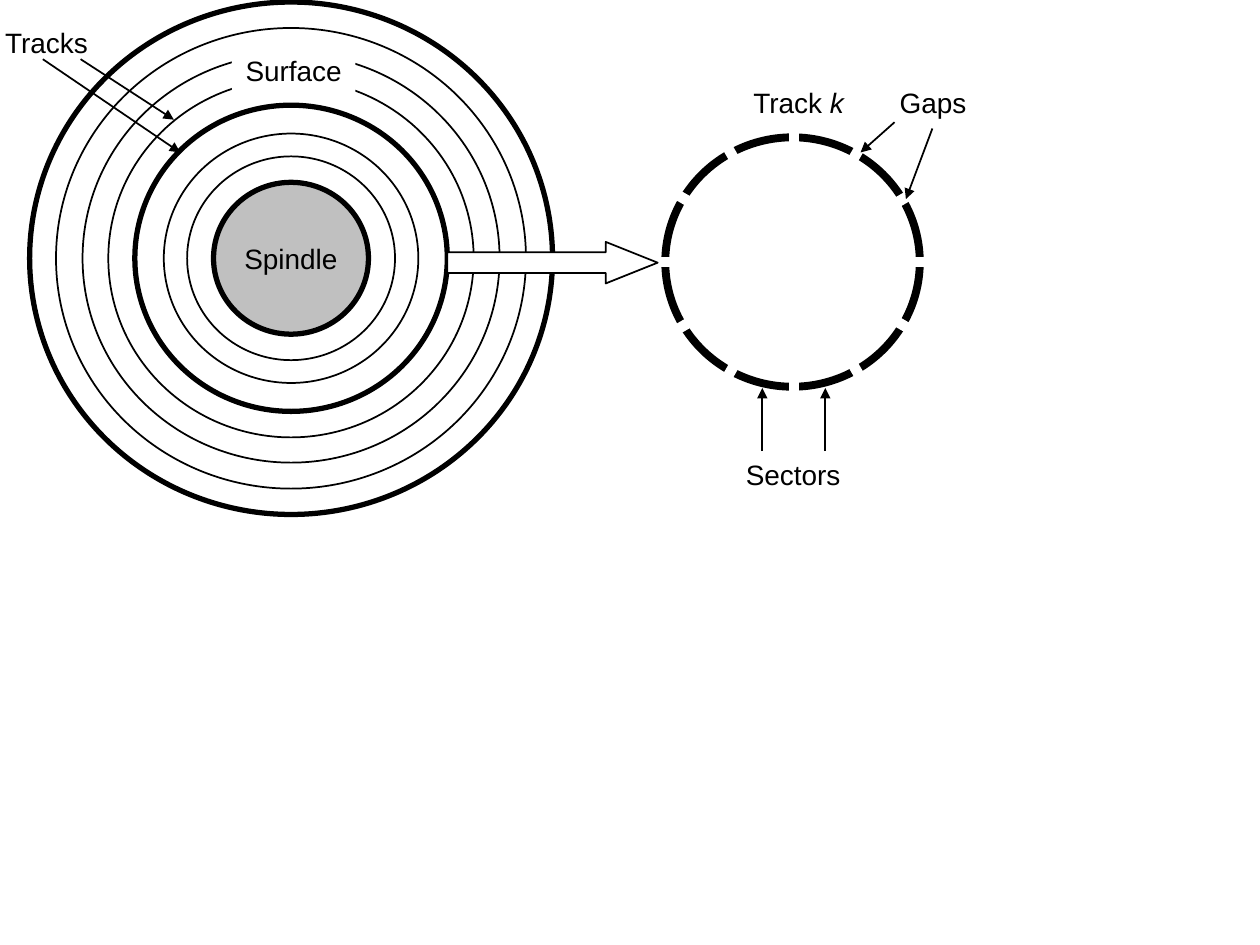
from dataclasses import dataclass
from math import cos, radians, sin

from lxml.etree import SubElement
from pptx import Presentation
from pptx.dml.color import RGBColor
from pptx.enum.shapes import MSO_CONNECTOR, MSO_SHAPE
from pptx.enum.text import MSO_ANCHOR, MSO_AUTO_SIZE, PP_ALIGN
from pptx.oxml.ns import qn
from pptx.util import Inches, Pt


@dataclass(frozen=True)
class Theme:
    ink: RGBColor = RGBColor(0, 0, 0)
    paper: RGBColor = RGBColor(255, 255, 255)
    spindle: RGBColor = RGBColor(192, 192, 192)
    font: str = "Arial"
    size: Pt = Pt(16)
    thin: Pt = Pt(1)
    thick: Pt = Pt(3)
    track: Pt = Pt(4.5)
    gap: Pt = Pt(6)


theme = Theme()
prs = Presentation()
prs.slide_width, prs.slide_height = Inches(10), Inches(7.5)
s = prs.slides.add_slide(prs.slide_layouts[6])


def write(sp, runs, align=PP_ALIGN.CENTER, anchor=MSO_ANCHOR.MIDDLE):
    tf = sp.text_frame
    tf.word_wrap = False
    tf.vertical_anchor = anchor
    p = tf.paragraphs[0]
    p.alignment = align
    p.font.name, p.font.size = theme.font, theme.size
    p.font.color.rgb = theme.ink
    for text, italic in runs:
        r = p.add_run()
        r.text = text
        if italic:
            r.font.italic = True


def add_line(start, end, color, width, arrow=False):
    ends = [Inches(v) for v in (*start, *end)]
    line = s.shapes.add_connector(MSO_CONNECTOR.STRAIGHT, *ends)
    line.line.color.rgb, line.line.width = color, width
    if arrow:
        SubElement(line.line._get_or_add_ln(), qn("a:tailEnd"), type="triangle")
    SubElement(line._element.spPr, qn("a:effectLst"))


disk_x, disk_y = 2.31, 2.05
track_x, track_y = 6.29, 2.08
hub_x = 6.3
rings = [
    (disk_x, disk_y, 4.15, theme.thick),
    (disk_x, disk_y, 3.73, theme.thin),
    (disk_x, disk_y, 3.31, theme.thin),
    (disk_x, disk_y, 2.9, theme.thin),
    (disk_x, disk_y, 2.48, theme.thick),
    (disk_x, disk_y, 2.02, theme.thin),
    (disk_x, disk_y, 1.65, theme.thin),
    (disk_x, disk_y, 1.23, theme.thick),
    (track_x, track_y, 2.02, theme.track),
]
for x, y, width, weight in rings:
    height = width * 0.98
    sp = s.shapes.add_shape(
        MSO_SHAPE.OVAL, Inches(x - width / 2), Inches(y - height / 2),
        Inches(width), Inches(height))
    sp.shadow.inherit = False
    sp.line.color.rgb, sp.line.width = theme.ink, weight
    if width == 1.23:
        sp.fill.solid()
        sp.fill.fore_color.rgb = theme.spindle
        write(sp, [("Spindle", False)])
    else:
        sp.fill.background()

for angle in range(0, 360, 30):
    reach = 1.06 if angle in (90, 270) else 1.16
    end = (hub_x + reach * cos(radians(angle)), track_y + reach * sin(radians(angle)))
    add_line((hub_x, track_y), end, theme.paper, theme.gap)

sp = s.shapes.add_shape(
    MSO_SHAPE.RIGHT_ARROW, Inches(3.55), Inches(1.92), Inches(1.67), Inches(0.33))
sp.adjustments[0], sp.adjustments[1] = 0.5, 1.25
sp.shadow.inherit = False
sp.fill.solid()
sp.fill.fore_color.rgb = theme.paper
sp.line.color.rgb, sp.line.width = theme.ink, theme.thin

labels = [
    (1.84, 0.38, 0.98, [("Surface", False)], PP_ALIGN.CENTER, MSO_ANCHOR.TOP),
    (-0.06, 0.15, 0.86, [("Tracks", False)], PP_ALIGN.CENTER, MSO_ANCHOR.MIDDLE),
    (5.88, 0.63, 0.92, [("Track ", False), ("k", True)], PP_ALIGN.LEFT, MSO_ANCHOR.TOP),
    (5.82, 3.58, 0.95, [("Sectors", False)], PP_ALIGN.CENTER, MSO_ANCHOR.MIDDLE),
    (7.04, 0.63, 0.73, [("Gaps", False)], PP_ALIGN.CENTER, MSO_ANCHOR.MIDDLE),
]
for x, y, width, runs, align, anchor in labels:
    sp = s.shapes.add_textbox(Inches(x), Inches(y), Inches(width), Inches(0.37))
    write(sp, runs, align, anchor)
    sp.text_frame.auto_size = MSO_AUTO_SIZE.SHAPE_TO_FIT_TEXT
    if runs[0][0] == "Surface":
        sp.fill.solid()
        sp.fill.fore_color.rgb = theme.paper

pointers = [
    ((0.34, 0.47), (1.43, 1.21)),
    ((0.64, 0.47), (1.38, 0.95)),
    ((6.05, 3.58), (6.05, 3.08)),
    ((6.55, 3.58), (6.55, 3.08)),
    ((7.1, 0.97), (6.83, 1.21)),
    ((7.4, 1.02), (7.19, 1.58)),
]
for start, end in pointers:
    add_line(start, end, theme.ink, theme.thin, arrow=True)

prs.save("out.pptx")
